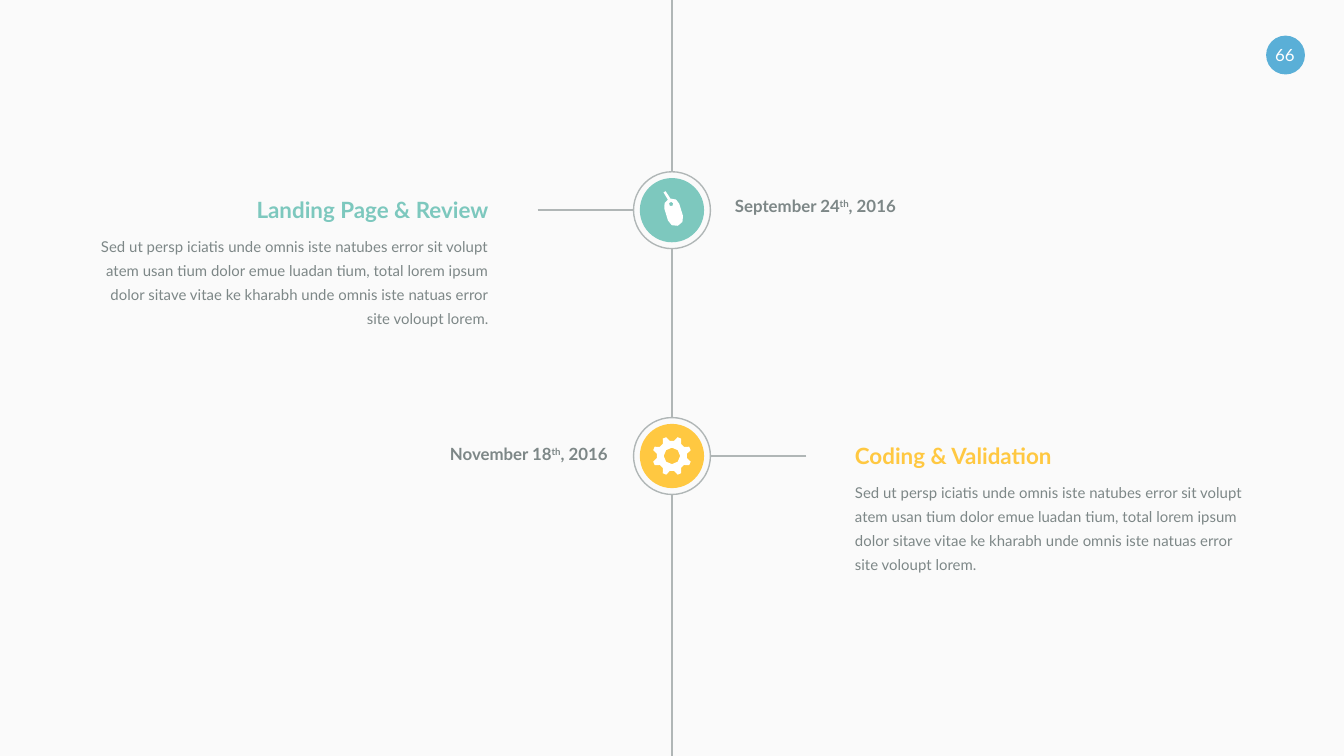
import math

import pptx
import pptx.dml.color
import pptx.enum.shapes
import pptx.enum.text
import pptx.oxml.ns
import pptx.util
from lxml import etree

Pt = pptx.util.Pt
SHAPES = pptx.enum.shapes.MSO_SHAPE
ALIGN = pptx.enum.text.PP_ALIGN
COLORS = {
    "paper": "FAFAFA",
    "white": "FFFFFF",
    "line": "B0B6B6",
    "text": "7D8787",
    "blue": "5AAFD7",
    "teal": "7DC8BE",
    "yellow": "FFC841",
}
WIDTH, HEIGHT = 720, 405
AXIS = WIDTH / 2
RING, DISC = 41.2, 34.4
SUMMARY = (
    "Sed ut persp iciatis unde omnis iste natubes error sit volupt atem usan tium "
    "dolor emue luadan tium, total lorem ipsum dolor sitave vitae ke kharabh unde "
    "omnis iste natuas error site voloupt lorem."
)


def rgb(name):
    return pptx.dml.color.RGBColor.from_string(COLORS[name])


def write_text(box, place, *spans, size, color="text", bold=False,
               align=ALIGN.LEFT, spacing=1.0):
    box.left, box.top, box.width, box.height = map(Pt, place)
    frame = box.text_frame
    frame.margin_left = frame.margin_top = frame.margin_right = frame.margin_bottom = 0
    frame.word_wrap = True
    frame.auto_size = pptx.enum.text.MSO_AUTO_SIZE.NONE
    frame.vertical_anchor = pptx.enum.text.MSO_ANCHOR.TOP
    para = frame.paragraphs[0]
    properties = para._p.get_or_add_pPr()
    properties.set("marL", "0")
    properties.set("indent", "0")
    etree.SubElement(properties, pptx.oxml.ns.qn("a:buNone"))
    para.alignment = align
    para.line_spacing = spacing
    para.space_before = Pt(0)
    for text, raised in spans:
        span = para.add_run()
        span.text = text
        span.font.name = "Lato"
        span.font.size = Pt(size)
        span.font.bold = bold
        span.font.color.rgb = rgb(color)
        if raised:
            span.font._element.set("baseline", "30000")


def add_text(page, place, *spans, **style):
    write_text(page.shapes.add_textbox(0, 0, 0, 0), place, *spans, **style)


def add_circle(page, x, y, diameter, fill=None, outline=None):
    corner = Pt(x - diameter / 2), Pt(y - diameter / 2)
    circle = page.shapes.add_shape(SHAPES.OVAL, *corner, Pt(diameter), Pt(diameter))
    circle.shadow.inherit = False
    if fill:
        circle.fill.solid()
        circle.fill.fore_color.rgb = rgb(fill)
    else:
        circle.fill.background()
    if outline:
        circle.line.color.rgb = rgb(outline)
        circle.line.width = Pt(0.75)
    else:
        circle.line.fill.background()


def add_line(page, *ends):
    line = page.shapes.add_connector(
        pptx.enum.shapes.MSO_CONNECTOR.STRAIGHT, *map(Pt, ends))
    line.line.color.rgb = rgb("line")
    line.line.width = Pt(1)
    etree.SubElement(line._element.spPr, pptx.oxml.ns.qn("a:effectLst"))


def add_outline(page, x, y, contours, tilt=0):
    turn, lean = math.cos(math.radians(tilt)), math.sin(math.radians(tilt))
    placed = [
        [(Pt(x + a * turn + b * lean), Pt(y - a * lean + b * turn)) for a, b in contour]
        for contour in contours
    ]
    builder = page.shapes.build_freeform(*placed[0][0], scale=1.0)
    builder.add_line_segments(placed[0][1:], close=True)
    for contour in placed[1:]:
        builder.move_to(*contour[0])
        builder.add_line_segments(contour[1:], close=True)
    icon = builder.convert_to_shape()
    icon.shadow.inherit = False
    icon.fill.solid()
    icon.fill.fore_color.rgb = rgb("white")
    icon.line.fill.background()


def polar(radius, angles, y=0):
    return [
        (radius * math.cos(math.radians(angle)), y + radius * math.sin(math.radians(angle)))
        for angle in angles
    ]


def add_mouse(page, x, y):
    cable = [(-1, -7.3), (-2.1, -11.8), (-0.8, -12), (0.5, -7.5)]
    body = polar(4.2, range(0, 181, 45), 3.4) + polar(4.2, (180, 220), -3.4)
    body += cable + polar(4.2, (320, 360), -3.4)
    add_outline(page, x + 0.9, y + 1.1, [body, polar(1.2, range(0, 360, 72), -4.6)], tilt=17)


def add_gear(page, x, y):
    rim = []
    for valley in range(0, 360, 45):
        for offset, radius in ((-17, 10.5), (-8, 8.1), (8, 8.1), (17, 10.5)):
            rim += polar(radius, [valley + offset])
    add_outline(page, x, y, [rim, polar(4.4, range(0, 360, 45))])


def add_badge(page, x, y, number):
    add_circle(page, x, y, 20.8, fill="blue")
    add_text(page, (x - 9.4, y - 5.7, 18, 10.8), (number, False),
             size=9, color="white", align=ALIGN.CENTER)


def add_milestone(page, y, side, heading, summary, title, date, date_top, color, draw_icon):
    on_left = side < 0
    text_align, date_align = (ALIGN.RIGHT, ALIGN.LEFT) if on_left else (ALIGN.LEFT, ALIGN.RIGHT)
    text_left = 53.8 if on_left else WIDTH - 54 - 208
    date_left = AXIS + 33.7 if on_left else AXIS - 34.5 - 116.6
    add_line(page, AXIS + side * 72, y, AXIS + side * RING / 2, y)
    add_text(page, (date_left, date_top, 116.6, 10.8),
             (date, False), ("th", True), (", 2016", False),
             size=9, bold=True, align=date_align)
    write_text(heading, (text_left, y - 7.7, 208, 14.4), (title, False),
               size=12, color=color, bold=True, align=text_align)
    write_text(summary, (text_left, y + 11.4, 208, 51.1), (SUMMARY, False),
               size=8, align=text_align, spacing=1.35)
    add_circle(page, AXIS, y, RING, outline="line")
    add_circle(page, AXIS, y, DISC, fill=color)
    draw_icon(page, AXIS, y)


def add_spine(page, stops):
    edges = [0]
    for y in stops:
        edges += [y - RING / 2, y + RING / 2]
    edges.append(HEIGHT)
    for top, bottom in zip(edges[::2], edges[1::2]):
        add_line(page, AXIS, top, AXIS, bottom)


def main():
    deck = pptx.Presentation()
    deck.slide_width, deck.slide_height = Pt(WIDTH), Pt(HEIGHT)
    page = deck.slides.add_slide(deck.slide_layouts.get_by_name("Comparison"))
    page.background.fill.solid()
    page.background.fill.fore_color.rgb = rgb("paper")
    title = page.shapes.title._element
    title.getparent().remove(title)
    holders = {holder.placeholder_format.idx: holder for holder in page.placeholders}

    review_y, coding_y = 112.6, 244.3
    add_badge(page, 688.7, 29.5, "66")
    add_spine(page, [review_y, coding_y])
    add_milestone(page, review_y, -1, holders[1], holders[2],
                  "Landing Page & Review", "September 24", 105, "teal", add_mouse)
    add_milestone(page, coding_y, 1, holders[3], holders[4],
                  "Coding & Validation", "November 18", 237.9, "yellow", add_gear)
    deck.save("out.pptx")


if __name__ == "__main__":
    main()
